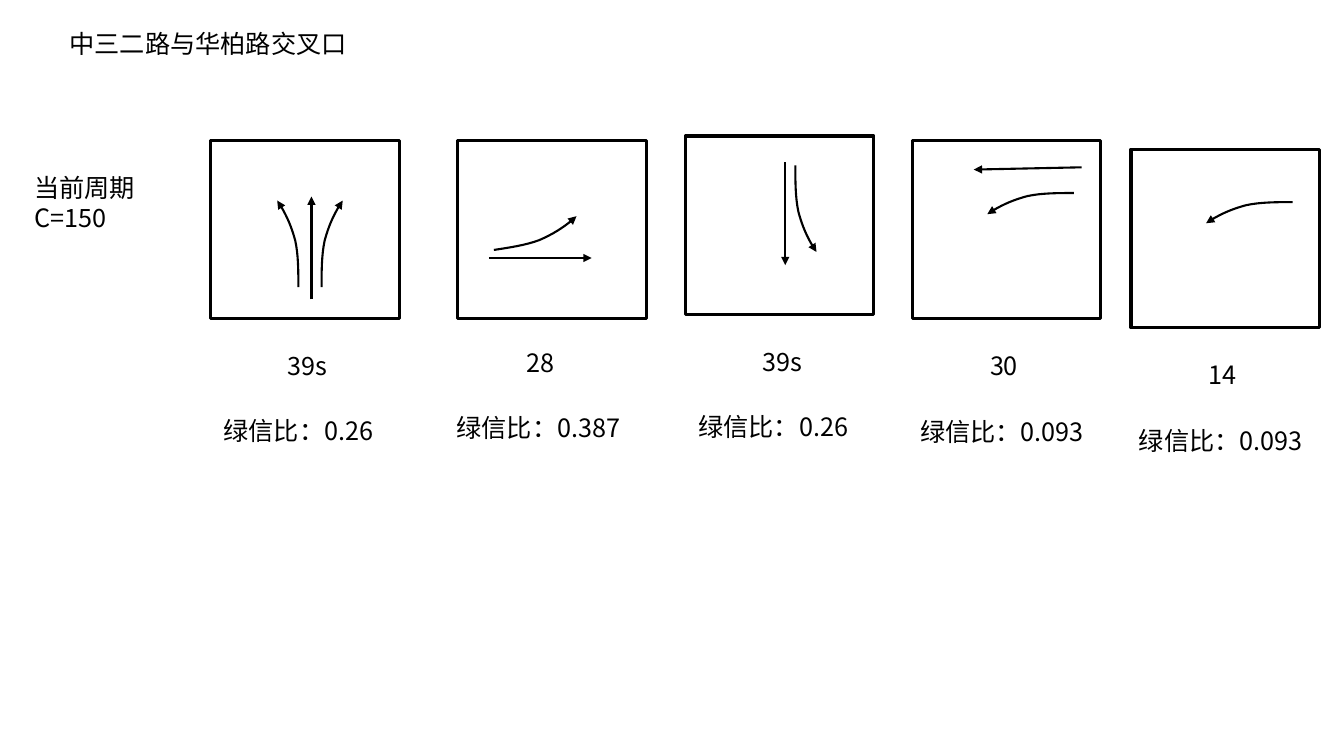
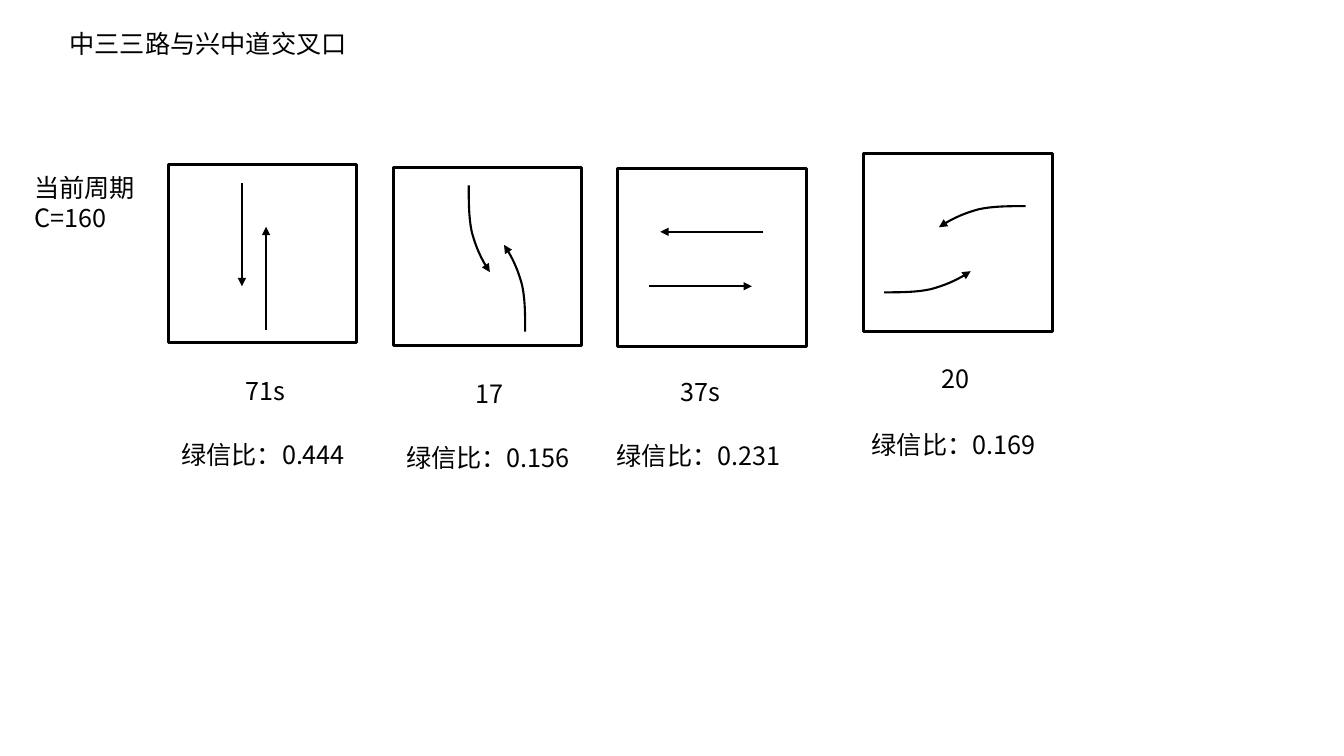
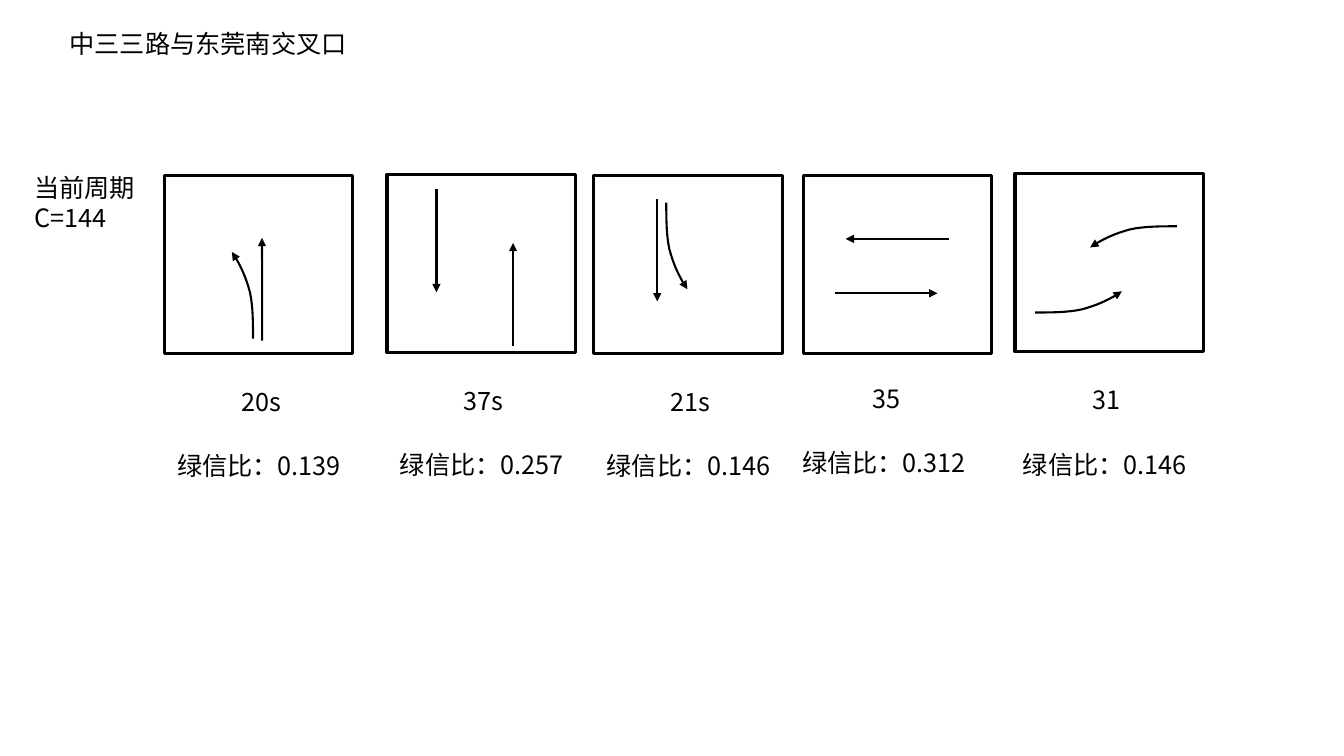
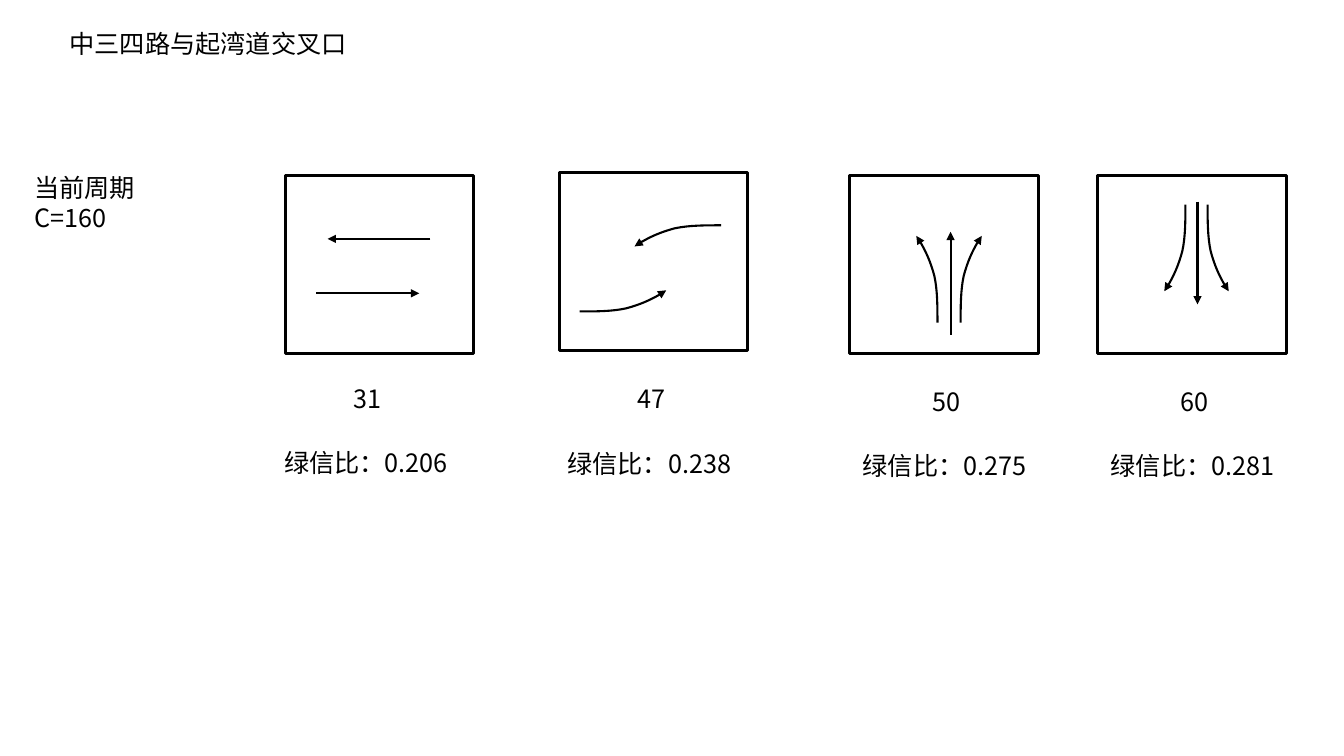
from dataclasses import dataclass
from math import cos, radians, sin
from typing import NamedTuple

from lxml.etree import SubElement
from pptx import Presentation
from pptx.dml.color import RGBColor
from pptx.enum.shapes import MSO_CONNECTOR, MSO_SHAPE
from pptx.enum.text import MSO_ANCHOR, MSO_AUTO_SIZE, PP_ALIGN
from pptx.oxml.ns import qn
from pptx.util import Inches, Pt


# Theme and grid: one column or row is a tenth of an inch
@dataclass(frozen=True)
class Theme:
    ink: RGBColor = RGBColor(0, 0, 0)
    font: str = "Noto Sans CJK SC"
    text_size: float = 18
    frame_width: float = 2.25
    arrow_width: float = 1.5


THEME = Theme()
COLUMNS, ROWS = 133.33, 75


def grid(cells: float) -> int:
    return Inches(cells / 10)


class Area(NamedTuple):
    left: float
    top: float
    width: float
    height: float

    def emu(self) -> tuple:
        return tuple(grid(v) for v in self)


TITLE = Area(5.9, 2.3, 42.4, 4)
CYCLE = Area(2.4, 16.6, 12.9, 7.1)
FRAME_W, FRAME_H = 18.7, 17.7
TIME_W, RATIO_W, LABEL_H = 16.8, 18.7, 4
RATIO_OUTDENT = 0.9

# Headings in degrees, clockwise from east
EAST, SOUTH, WEST, NORTH = 0, 90, 180, 270
LEFT, RIGHT = -1, 1
# Start, then two cubic segments: distance ahead and distance aside
TURN_CURVE = [(0, 0), (1.6, 0), (3.2, 0), (4.6, 0.3), (6.1, 0.7), (7.8, 1.5), (8.6, 2.1)]


# Elements; their places count from the top left corner of a phase frame
class Straight(NamedTuple):
    x: float
    y: float
    heading: float
    length: float = 10.2


class Turn(NamedTuple):
    x: float
    y: float
    heading: float
    side: int = LEFT


class Caption(NamedTuple):
    dx: float
    dy: float
    gap: float


class Phase(NamedTuple):
    left: float
    top: float
    time: str
    ratio: str
    caption: Caption
    moves: list


class Junction(NamedTuple):
    name: str
    cycle: int
    phases: list


UPRIGHT = Caption(1.2, 20.4, 6.4)
TURNING = Caption(0.7, 20.4, 6.5)
ACROSS = Caption(-0.2, 20.1, 6.4)

# Movements that recur
EAST_THROUGH = Straight(3.1, 11.7, EAST)
BOTH_THROUGH = [EAST_THROUGH, Straight(14.4, 6.3, WEST)]
WEST_LEFT = Turn(16.05, 5.25, WEST)
BOTH_LEFT = [Turn(2, 13.8, EAST), WEST_LEFT]
FROM_SOUTH = [Straight(10, 15.8, NORTH), Turn(8.7, 14.6, NORTH), Turn(11, 14.6, NORTH, RIGHT)]
FROM_NORTH = [Straight(9.9, 2.6, SOUTH), Turn(10.9, 2.9, SOUTH)]

JUNCTIONS = [
    Junction("中三二路与华柏路交叉口", 150, [
        Phase(20.9, 13.9, "39s", "0.26", UPRIGHT, FROM_SOUTH),
        Phase(45.4, 13.9, "28", "0.387", ACROSS, [EAST_THROUGH, Turn(3.6, 10.9, EAST - 8.5)]),
        Phase(68, 13.5, "39s", "0.26", UPRIGHT, FROM_NORTH),
        Phase(90.5, 13.9, "30", "0.093", TURNING,
              [WEST_LEFT, Straight(16.8, 2.7, WEST - 1.2, 10.7)]),
        Phase(112.2, 14.8, "14", "0.093", TURNING, [WEST_LEFT]),
    ]),
    Junction("中三三路与兴中道交叉口", 160, [
        Phase(16.7, 16.3, "71s", "0.444", UPRIGHT,
              [Straight(9.7, 16.4, NORTH), Straight(7.3, 1.9, SOUTH)]),
        Phase(39, 16.6, "17", "0.156", UPRIGHT,
              [Turn(7.5, 1.8, SOUTH), Turn(13.1, 16.3, NORTH)]),
        Phase(61.3, 16.7, "37s", "0.231", ACROSS, BOTH_THROUGH),
        Phase(85.7, 15.2, "20", "0.169", TURNING, BOTH_LEFT),
    ]),
    Junction("中三三路与东莞南交叉口", 144, [
        Phase(16.3, 17.4, "20s", "0.139", UPRIGHT,
              [Straight(9.7, 16.4, NORTH), Turn(8.8, 16.2, NORTH)]),
        Phase(38.4, 17.3, "37s", "0.257", UPRIGHT,
              [Straight(12.5, 17, NORTH), Straight(4.9, 1.5, SOUTH)]),
        Phase(58.9, 17.4, "21s", "0.146", UPRIGHT,
              [Straight(6.3, 2.3, SOUTH), Turn(7.2, 2.7, SOUTH)]),
        Phase(79.7, 17.4, "35", "0.312", ACROSS, BOTH_THROUGH),
        Phase(100.7, 17.2, "31", "0.146", TURNING, BOTH_LEFT),
    ]),
    Junction("中三四路与起湾道交叉口", 160, [
        Phase(28.3, 17.4, "31", "0.206", ACROSS, BOTH_THROUGH),
        Phase(55.5, 17.1, "47", "0.238", TURNING, BOTH_LEFT),
        Phase(84.3, 17.4, "50", "0.275", UPRIGHT, FROM_SOUTH),
        Phase(108.9, 17.4, "60", "0.281", UPRIGHT,
              FROM_NORTH + [Turn(8.7, 2.9, SOUTH, RIGHT)]),
    ]),
]


# Text
def write(tf, *lines: str, size: float = THEME.text_size, color: RGBColor = THEME.ink,
          align: PP_ALIGN = PP_ALIGN.LEFT) -> None:
    tf.word_wrap = True
    tf.auto_size = MSO_AUTO_SIZE.SHAPE_TO_FIT_TEXT
    for i, line in enumerate(lines):
        p = tf.add_paragraph() if i else tf.paragraphs[0]
        p.alignment = align
        r = p.add_run()
        r.text = line
        r.font.size = Pt(size)
        r.font.color.rgb = color
        r.font.name = THEME.font
        SubElement(r.font._element, qn("a:ea"), typeface=THEME.font)


def add_label(s, area: Area, *lines: str, **fmt) -> None:
    write(s.shapes.add_textbox(*area.emu()).text_frame, *lines, **fmt)


# Lines and arrows
def stroke(line, width: float, arrow: bool = False) -> None:
    line.color.rgb = THEME.ink
    line.width = Pt(width)
    if arrow:
        SubElement(line._get_or_add_ln(), qn("a:tailEnd"), type="triangle")


def ahead(x: float, y: float, heading: float, along: float, aside: float = 0) -> tuple:
    """Slide point reached from x, y; a positive aside lies to the right."""
    c, n = cos(radians(heading)), sin(radians(heading))
    return grid(x + along * c - aside * n), grid(y + along * n + aside * c)


def add_straight(s, x: float, y: float, move: Straight) -> None:
    end = ahead(x, y, move.heading, move.length)
    sp = s.shapes.add_connector(MSO_CONNECTOR.STRAIGHT, grid(x), grid(y), *end)
    stroke(sp.line, THEME.arrow_width, arrow=True)
    SubElement(sp._element.spPr, qn("a:effectLst"))


def add_turn(s, x: float, y: float, move: Turn) -> None:
    start, *points = [ahead(x, y, move.heading, u, v * move.side) for u, v in TURN_CURVE]
    builder = s.shapes.build_freeform(*start)
    builder.add_line_segments(points, close=False)
    sp = builder.convert_to_shape()
    # Every three line points become one cubic segment
    steps = sp._element.xpath(".//a:lnTo")
    for first in range(0, len(steps), 3):
        outline = steps[first].getparent()
        cubic = SubElement(outline, qn("a:cubicBezTo"))
        for step in steps[first:first + 3]:
            cubic.append(step[0])
            outline.remove(step)
    sp.fill.background()
    sp.shadow.inherit = False
    stroke(sp.line, THEME.arrow_width, arrow=True)


# Signal phase: frame, movements, green time and green ratio
def add_phase(s, phase: Phase) -> None:
    frame = Area(phase.left, phase.top, FRAME_W, FRAME_H)
    sp = s.shapes.add_shape(MSO_SHAPE.RECTANGLE, *frame.emu())
    sp.fill.background()
    sp.shadow.inherit = False
    stroke(sp.line, THEME.frame_width)
    for move in phase.moves:
        draw = add_turn if isinstance(move, Turn) else add_straight
        draw(s, phase.left + move.x, phase.top + move.y, move)
    left, top = phase.left + phase.caption.dx, phase.top + phase.caption.dy
    add_label(s, Area(left, top, TIME_W, LABEL_H), phase.time, align=PP_ALIGN.CENTER)
    add_label(s, Area(left - RATIO_OUTDENT, top + phase.caption.gap, RATIO_W, LABEL_H),
              f"绿信比：{phase.ratio}")


def prepare_layout(layout) -> None:
    title = layout.placeholders[0]
    title.left, title.top, title.width, title.height = TITLE.emu()
    title.text_frame.vertical_anchor = MSO_ANCHOR.TOP


def add_junction(prs, layout, junction: Junction) -> None:
    s = prs.slides.add_slide(layout)
    write(s.shapes.title.text_frame, junction.name)
    add_label(s, CYCLE, "当前周期", f"C={junction.cycle}")
    for phase in junction.phases:
        add_phase(s, phase)


def main() -> None:
    prs = Presentation()
    prs.slide_width, prs.slide_height = grid(COLUMNS), grid(ROWS)
    title_only = prs.slide_layouts[5]
    prepare_layout(title_only)
    for junction in JUNCTIONS:
        add_junction(prs, title_only, junction)
    prs.save("out.pptx")


main()
